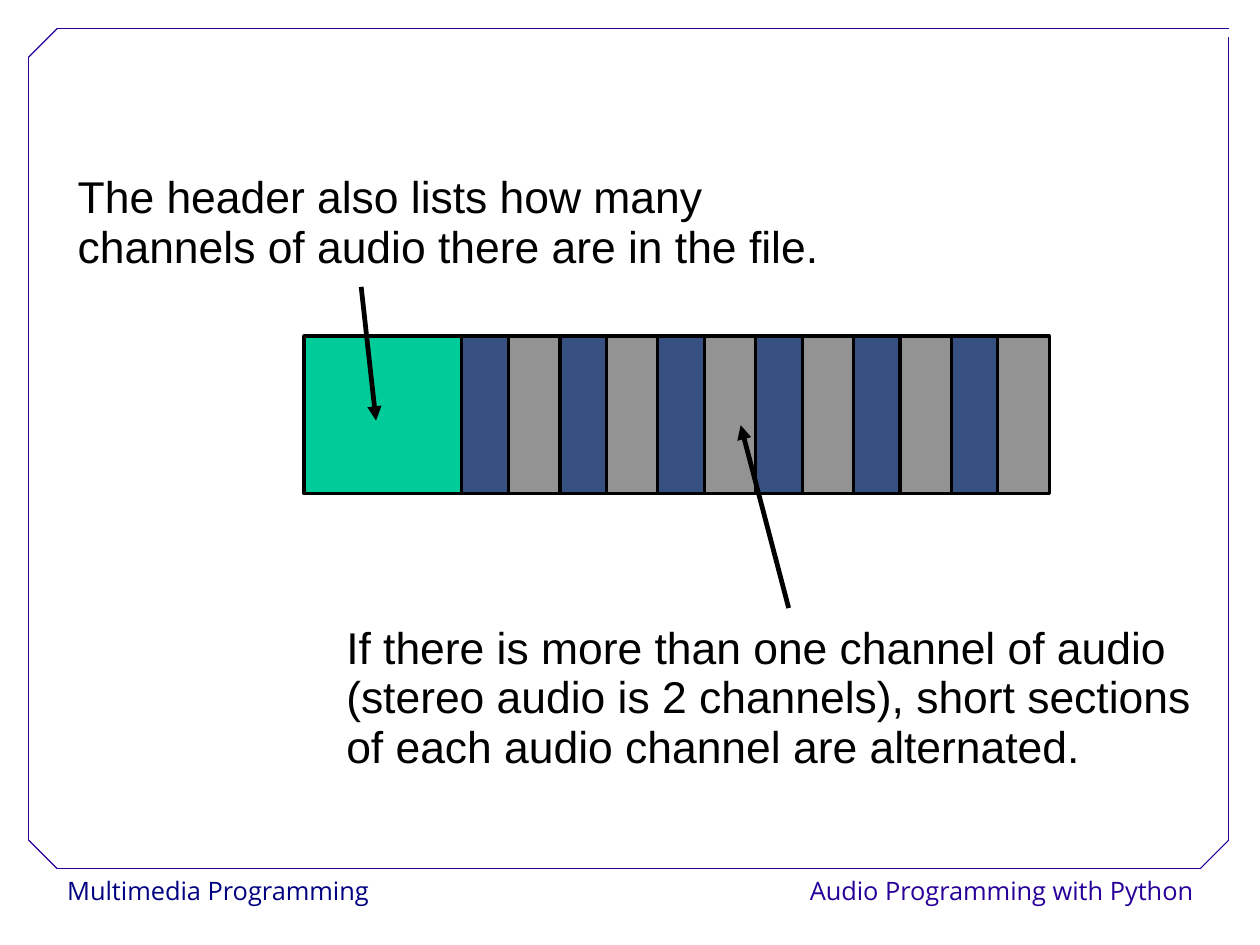
from dataclasses import dataclass

from lxml import etree
from pptx import Presentation
from pptx.dml.color import RGBColor
from pptx.enum import shapes, text
from pptx.oxml import ns
from pptx.util import Inches, Pt

CM_PER_INCH = 2.54


@dataclass(frozen=True)
class Theme:
    frame: str = "280099"
    course: str = "000080"
    ink: str = "000000"
    header: str = "00CC99"
    first_channel: str = "365082"
    second_channel: str = "939393"
    body_font: str = "Arial"
    footer_font: str = "Open Sans"
    body_size: int = 28
    footer_size: int = 16


THEME = Theme()


def add_text(s, box, words, *, size, font, color, inset=(0, 0), spacing=1.0,
             align=text.PP_ALIGN.LEFT, anchor=text.MSO_ANCHOR.MIDDLE):
    tf = s.shapes.add_textbox(*map(Inches, box)).text_frame
    tf.word_wrap = True
    tf.vertical_anchor = anchor
    tf.margin_left = tf.margin_right = Inches(inset[0])
    tf.margin_top = tf.margin_bottom = Inches(inset[1])
    p = tf.paragraphs[0]
    p.alignment = align
    p.line_spacing = spacing
    r = p.add_run()
    r.text = words
    r.font.size = Pt(size)
    r.font.name = font
    r.font.color.rgb = RGBColor.from_string(color)


def add_line(s, start, end, color, width, arrow=False):
    """Draw a straight line, with an optional arrowhead at its end."""
    c = s.shapes.add_connector(shapes.MSO_CONNECTOR.STRAIGHT, *map(Inches, (*start, *end)))
    c.line.color.rgb = RGBColor.from_string(color)
    c.line.width = Pt(width)
    if arrow:
        etree.SubElement(c.line._get_or_add_ln(), ns.qn("a:tailEnd"), type="triangle")
    etree.SubElement(c._element.spPr, ns.qn("a:effectLst"))


def add_block(s, box, fill):
    sp = s.shapes.add_shape(shapes.MSO_SHAPE.RECTANGLE, *map(Inches, box))
    sp.shadow.inherit = False
    sp.fill.solid()
    sp.fill.fore_color.rgb = RGBColor.from_string(fill)
    sp.line.color.rgb = RGBColor.from_string(THEME.ink)
    sp.line.width = Pt(2)


def add_frame(s, box, cut=0.25, gap=0.07):
    """Outline the box with three cut corners and a small gap at the top right."""
    x, y, w, h = box
    right, bottom = x + w, y + h
    corners = [(right, y), (x + cut, y), (x, y + cut), (x, bottom - cut),
               (x + cut, bottom), (right - cut, bottom), (right, bottom - cut),
               (right, y + gap)]
    for start, end in zip(corners, corners[1:]):
        add_line(s, start, end, THEME.frame, 0.75)


def add_footer(s, box):
    x, y, w, h = box
    half = w / 2
    entries = [("Multimedia Programming", THEME.course, text.PP_ALIGN.LEFT),
               ("Audio Programming with Python", THEME.frame, text.PP_ALIGN.RIGHT)]
    for i, (words, color, align) in enumerate(entries):
        add_text(s, (x + i * half, y, half, h), words, size=THEME.footer_size,
                 font=THEME.footer_font, color=color, inset=(0.1, 0.05),
                 spacing=1.02, align=align, anchor=text.MSO_ANCHOR.TOP)


def add_audio_file(s, box, sections=6):
    """Draw the file header, then audio data alternating between two channels."""
    x, y, w, h = box
    header, section = 1.38, 0.45
    first = x + header
    add_block(s, (x, y, header, h), THEME.header)
    add_block(s, (first, y, w - header - section / 2, h), THEME.first_channel)
    last = x + w - section
    start = first + 0.41
    pitch = (last - start) / (sections - 1)
    for i in range(sections):
        add_block(s, (start + i * pitch, y, section, h), THEME.second_channel)


def add_callout(s, box, words, tail, tip):
    add_text(s, box, words, size=THEME.body_size, font=THEME.body_font,
             color=THEME.ink, spacing=0.93)
    add_line(s, tail, tip, THEME.ink, 3, arrow=True)


def main():
    prs = Presentation()
    prs.slide_width = Inches(28 / CM_PER_INCH)
    prs.slide_height = Inches(21 / CM_PER_INCH)
    s = prs.slides.add_slide(prs.slide_layouts[6])
    add_footer(s, (0.49, 7.6, 10.05, 0.4))
    add_frame(s, (0.25, 0.25, 10.5, 7.35))
    add_audio_file(s, (2.66, 2.94, 6.52, 1.38))
    add_callout(s, (0.68, 1.48, 6.59, 0.95),
                "The header also lists how many channels of audio there are in the file.",
                tail=(3.16, 2.51), tip=(3.29, 3.68))
    add_callout(s, (3.03, 5.42, 7.77, 1.39),
                "If there is more than one channel of audio (stereo audio is 2 channels), "
                "short sections of each audio channel are alternated.",
                tail=(6.9, 5.32), tip=(6.48, 3.72))
    prs.save("out.pptx")


if __name__ == "__main__":
    main()
